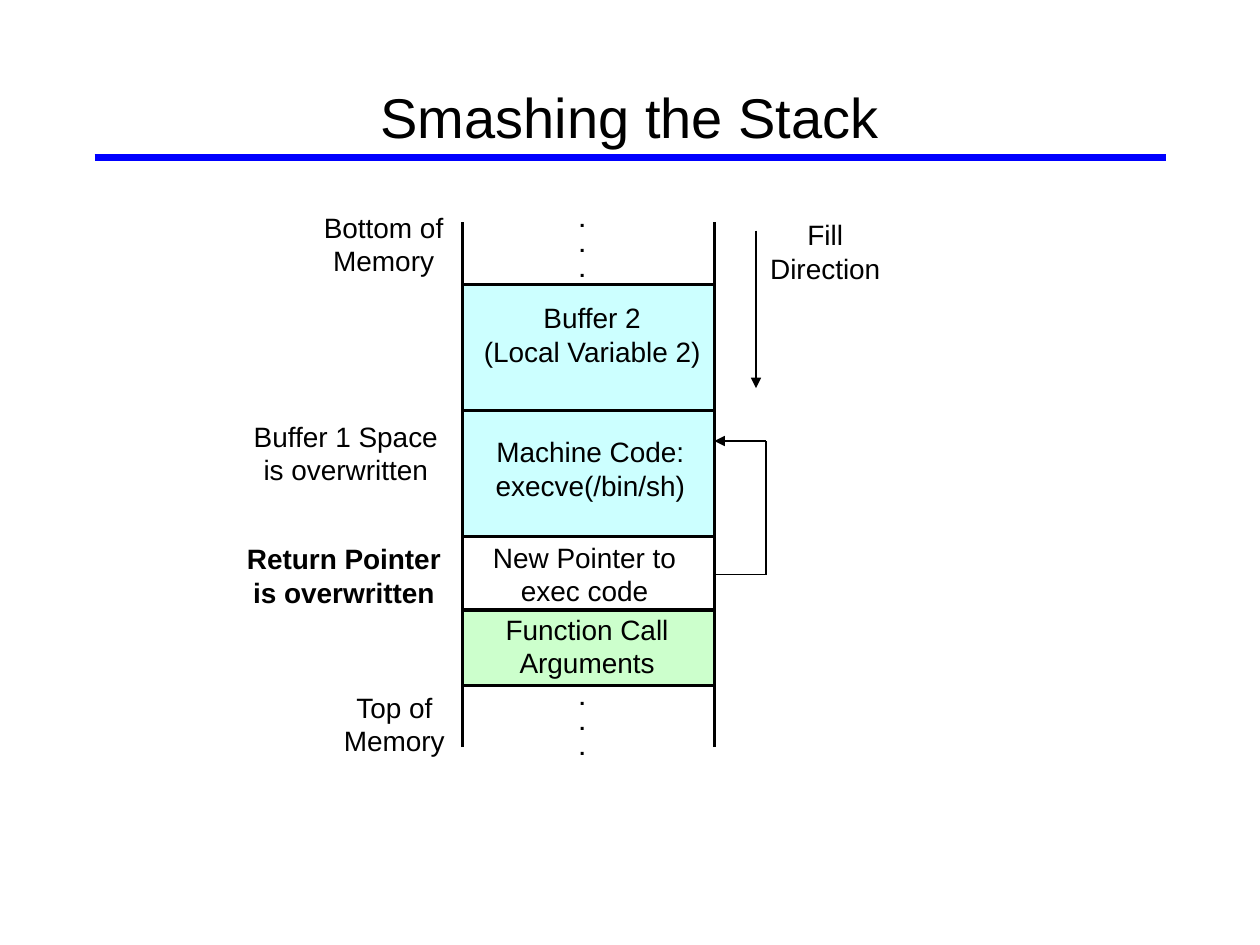
from dataclasses import dataclass
from lxml.etree import SubElement
from pptx import Presentation
from pptx.dml.color import RGBColor
from pptx.enum.shapes import MSO_CONNECTOR as Connector, MSO_SHAPE as Preset
from pptx.enum.text import MSO_ANCHOR as Anchor, PP_ALIGN as Align
from pptx.oxml.ns import qn
from pptx.util import Inches, Pt


@dataclass(frozen=True)
class Theme:
    font: str = "Arial"
    ink: str = "000000"
    rule: str = "0000FF"
    buffer: str = "CCFFFF"
    pointer: str = "FFFFFF"
    arguments: str = "CCFFCC"
    title_size: int = 32
    label_size: int = 16
    dot_size: int = 12
    rule_width: float = 4.5
    frame_width: float = 2
    arrow_width: float = 1
    loop_width: float = 0.75


THEME = Theme()

TITLE = "Smashing the Stack"
STACK_LEFT, STACK_WIDTH = 3.67, 2
STACK_RIGHT = STACK_LEFT + STACK_WIDTH
RAIL_HEIGHT = 0.5
LABEL_HEIGHT = 0.64
LOOP_RIGHT, LOOP_TOP = 6.08, 3.5

CELLS = {
    "buffer 2": (2.26, 1, THEME.buffer),
    "machine code": (3.26, 1, THEME.buffer),
    "return pointer": (4.26, 0.6, THEME.pointer),
    "arguments": (4.84, 0.6, THEME.arguments),
}
RAIL_TOPS = [1.76, 5.43]
DOT_TOPS = [1.59, 5.38]

LABELS = [
    ("Top of Memory", 2.58, 5.43, 1.1, True, False),
    ("Bottom of Memory", 2.33, 1.62, 1.43, True, False),
    ("Buffer 2\n(Local Variable 2)", 3.73, 2.34, 1.94, False, False),
    ("Fill\nDirection", 6.01, 1.68, 1.08, False, False),
    ("Function Call\nArguments", 3.91, 4.81, 1.5, False, False),
    ("Buffer 1 Space\nis overwritten", 1.91, 3.28, 1.67, False, False),
    ("Return Pointer\nis overwritten", 1.86, 4.25, 1.74, False, True),
    ("Machine Code:\nexecve(/bin/sh)", 3.83, 3.4, 1.71, False, False),
    ("New Pointer to\nexec code", 3.81, 4.24, 1.66, False, False),
]


def color(value):
    return RGBColor.from_string(value)


def add_line(slide, start, end, width, line_color=THEME.ink, arrow=False):
    line = slide.shapes.add_connector(
        Connector.STRAIGHT, *(Inches(value) for value in (*start, *end)))
    line.line.color.rgb = color(line_color)
    line.line.width = Pt(width)
    if arrow:
        SubElement(line.line._get_or_add_ln(), qn("a:tailEnd"), type="triangle")
    SubElement(line._element.spPr, qn("a:effectLst"))
    return line


def add_cell(slide, top, height, fill):
    cell = slide.shapes.add_shape(
        Preset.RECTANGLE, Inches(STACK_LEFT), Inches(top),
        Inches(STACK_WIDTH), Inches(height))
    cell.shadow.inherit = False
    cell.fill.solid()
    cell.fill.fore_color.rgb = color(fill)
    cell.line.color.rgb = color(THEME.ink)
    cell.line.width = Pt(THEME.frame_width)
    return cell


def add_text(slide, text, box, size, align=Align.CENTER, wrap=False, bold=False,
             anchor=Anchor.TOP):
    text_frame = slide.shapes.add_textbox(*(Inches(value) for value in box)).text_frame
    text_frame.text = text
    text_frame.word_wrap = wrap
    text_frame.vertical_anchor = anchor
    for paragraph in text_frame.paragraphs:
        paragraph.alignment = align
        for run in paragraph.runs:
            run.font.name = THEME.font
            run.font.size = Pt(size)
            run.font.bold = bold
            run.font.color.rgb = color(THEME.ink)


def main():
    presentation = Presentation()
    presentation.slide_width, presentation.slide_height = Inches(10), Inches(7.5)
    slide = presentation.slides.add_slide(presentation.slide_layouts[6])

    add_line(slide, (0.75, 1.25), (9.25, 1.25), THEME.rule_width, THEME.rule)
    add_text(slide, TITLE, (0.75, 0.67, 8.5, 0.5), THEME.title_size,
             wrap=True, anchor=Anchor.MIDDLE)

    cells = {name: add_cell(slide, *cell) for name, cell in CELLS.items()}
    for top in RAIL_TOPS:
        for x in (STACK_LEFT, STACK_RIGHT):
            add_line(slide, (x, top + RAIL_HEIGHT), (x, top), THEME.frame_width)

    for text, left, top, width, wrap, bold in LABELS:
        add_text(slide, text, (left, top, width, LABEL_HEIGHT),
                 THEME.label_size, wrap=wrap, bold=bold)
    for top in DOT_TOPS:
        add_text(slide, ".\n.\n.", (4.5, top, 0.25, 0.7), THEME.dot_size,
                 align=Align.LEFT, bold=True)

    add_line(slide, (6, 1.83), (6, 3.08), THEME.arrow_width, arrow=True)

    pointer_top, pointer_height, _ = CELLS["return pointer"]
    pointer_middle = pointer_top + pointer_height / 2
    loop = [(STACK_RIGHT, pointer_middle), (LOOP_RIGHT, pointer_middle),
            (LOOP_RIGHT, LOOP_TOP), (STACK_RIGHT, LOOP_TOP)]
    segments = [
        add_line(slide, start, end, THEME.loop_width, arrow=end == loop[-1])
        for start, end in zip(loop, loop[1:])
    ]
    segments[0].begin_connect(cells["return pointer"], 3)

    presentation.save("out.pptx")


if __name__ == "__main__":
    main()
